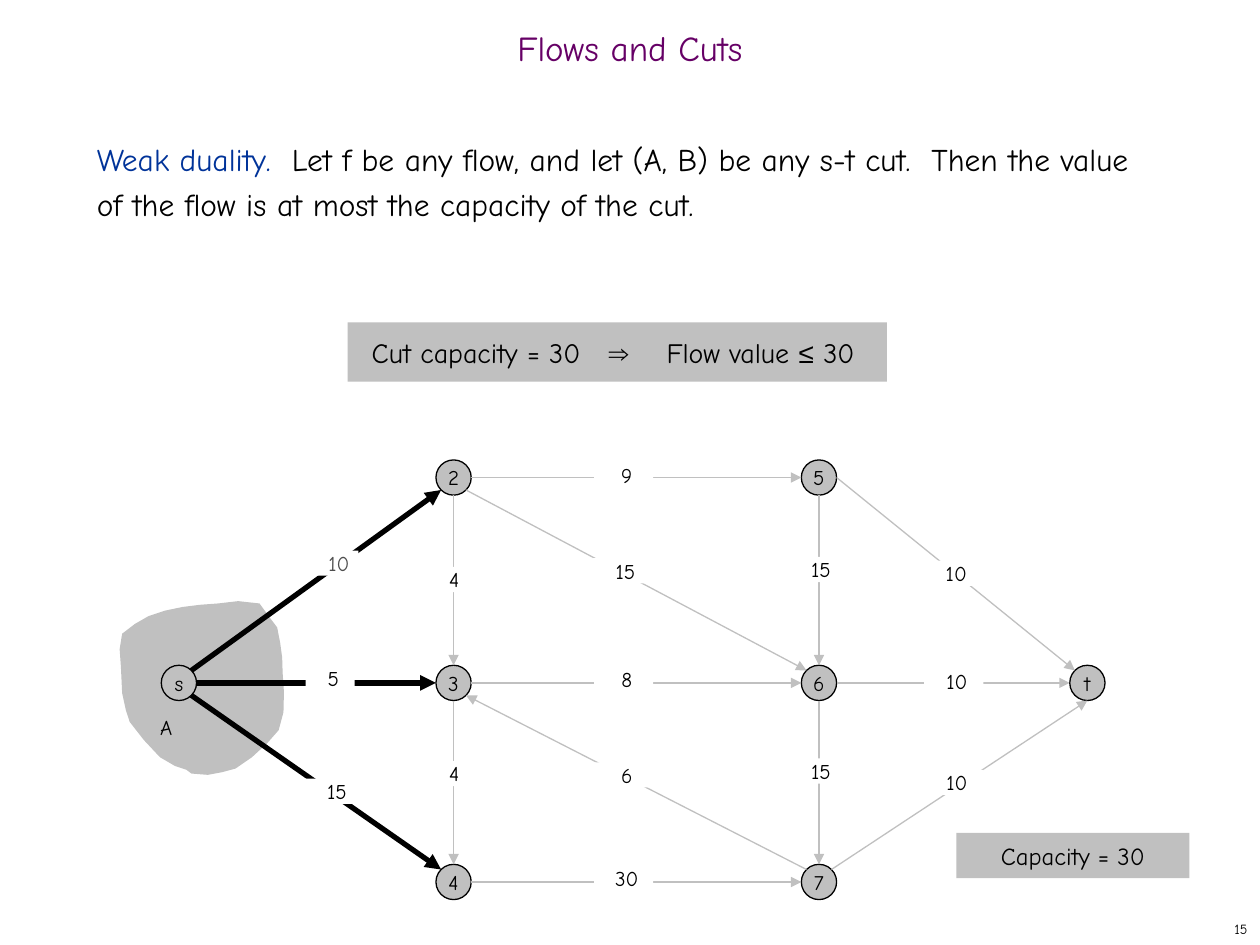
import math
from dataclasses import dataclass

import lxml.etree
import pptx
import pptx.dml.color
import pptx.enum.shapes
import pptx.enum.text
import pptx.oxml.ns
import pptx.util

Inches = pptx.util.Inches
Pt = pptx.util.Pt
Align = pptx.enum.text.PP_ALIGN
Anchor = pptx.enum.text.MSO_ANCHOR
Kind = pptx.enum.shapes.MSO_SHAPE


@dataclass(frozen=True)
class Theme:
    """Colours, fonts, type sizes and line widths."""
    font: str = "Comic Neue"
    symbol_font: str = "Arial"
    ink: str = "000000"
    paper: str = "FFFFFF"
    grey: str = "C0C0C0"
    dim: str = "4D4D4D"
    title: str = "660066"
    term: str = "003399"
    title_size: float = 20
    body_size: float = 18
    claim_size: float = 16
    capacity_size: float = 14
    label_size: float = 12
    number_size: float = 8
    thin: float = 0.74
    thick: float = 3


THEME = Theme()
RADIUS = 0.14

# Node: column centre, row centre, measured from the network box
COLUMNS = (0.49, 2.67, 5.57, 7.7)
ROWS = (0.14, 1.77, 3.35)
NODES = {"s": (0, 1), "2": (1, 0), "3": (1, 1), "4": (1, 2),
         "5": (2, 0), "6": (2, 1), "7": (2, 2), "t": (3, 1)}

# Compass points on a node's rim, in degrees
RIM = {"E": 0, "SE": 45, "S": 90, "SW": 135, "W": 180, "NW": 225, "N": 270, "NE": 315}

# Edge: from node, rim point, to node, rim point, capacity, label centre
EDGES = [
    ("s", "NE", "2", "SW", "10", (1.68, 0.82)),
    ("s", "E", "3", "W", "5", (1.69, 1.73)),
    ("s", "SE", "4", "NW", "15", (1.72, 2.63)),
    ("2", "E", "5", "W", "9", (4.02, 0.12)),
    ("2", "SE", "6", "NW", "15", (4.01, 0.88)),
    ("2", "S", "3", "N", "4", (2.65, 0.95)),
    ("3", "E", "6", "W", "8", (4.02, 1.74)),
    ("3", "S", "4", "N", "4", (2.65, 2.49)),
    ("7", "NW", "3", "SE", "6", (4.02, 2.5)),
    ("4", "E", "7", "W", "30", (4.02, 3.32)),
    ("5", "S", "6", "N", "15", (5.56, 0.87)),
    ("6", "S", "7", "N", "15", (5.56, 2.47)),
    ("5", "E", "t", "NW", "10", (6.58, 0.9)),
    ("6", "E", "t", "W", "10", (6.64, 1.76)),
    ("7", "NE", "t", "S", "10", (6.64, 2.56)),
]

# Cut outline: start, then cubic curves as two handles and an end
CUT_START = (0.04, 0.28)
CUT_CURVES = [
    ((0.1, 0.24), (0.18, 0.16), (0.25, 0.14)), ((0.42, 0.07), (0.62, 0.05), (0.8, 0.04)),
    ((0.91, 0.03), (1.01, 0), (1.13, 0.04)), ((1.17, 0.05), (1.18, 0.11), (1.21, 0.15)),
    ((1.23, 0.18), (1.27, 0.23), (1.27, 0.23)), ((1.3, 0.39), (1.29, 0.31), (1.31, 0.47)),
    ((1.3, 0.64), (1.4, 1.02), (1.19, 1.15)), ((1.15, 1.21), (1.13, 1.22), (1.07, 1.26)),
    ((0.97, 1.32), (1.06, 1.28), (0.94, 1.35)), ((0.88, 1.38), (0.79, 1.38), (0.72, 1.4)),
    ((0.68, 1.4), (0.63, 1.4), (0.59, 1.39)), ((0.57, 1.38), (0.56, 1.37), (0.55, 1.36)),
    ((0.51, 1.34), (0.5, 1.35), (0.46, 1.33)), ((0.33, 1.25), (0.43, 1.29), (0.34, 1.26)),
    ((0.25, 1.17), (0.17, 1.08), (0.1, 0.98)), ((0.09, 0.95), (0.08, 0.92), (0.07, 0.89)),
    ((0.05, 0.85), (0.04, 0.75), (0.04, 0.75)), ((0.04, 0.68), (0.04, 0.61), (0.03, 0.54)),
    ((0.03, 0.46), (0, 0.34), (0.04, 0.28)),
]


def color(value):
    """Turn a hex string into a colour."""
    return pptx.dml.color.RGBColor.from_string(value)


def write_text(shape, runs, size=THEME.label_size, ink=THEME.ink, align=Align.CENTER,
               anchor=Anchor.TOP, insets=(0.1, 0.05, 0.1, 0.05), wrap=True,
               spacing=None, tabs=()):
    """Write one paragraph; runs is a string or (text, format overrides) pairs."""
    frame = shape.text_frame
    frame.word_wrap, frame.vertical_anchor = wrap, anchor
    (frame.margin_left, frame.margin_top,
     frame.margin_right, frame.margin_bottom) = map(Inches, insets)
    para = frame.paragraphs[0]
    para.alignment, para.line_spacing = align, spacing
    if tabs:
        tab_list = lxml.etree.SubElement(para._p.get_or_add_pPr(), pptx.oxml.ns.qn("a:tabLst"))
        for stop in tabs:
            lxml.etree.SubElement(tab_list, pptx.oxml.ns.qn("a:tab"),
                                  pos=str(Inches(stop)), algn="l")
    for text, style in [(runs, {})] if isinstance(runs, str) else runs:
        span = para.add_run()
        span.text = text
        span.font.name = style.get("font", THEME.font)
        span.font.size = Pt(size)
        span.font.color.rgb = color(style.get("ink", ink))


def paint(shape, fill, line=None):
    """Give a shape a flat fill and an optional thin line."""
    shape.shadow.inherit = False
    shape.fill.solid()
    shape.fill.fore_color.rgb = color(fill)
    if line:
        shape.line.color.rgb = color(line)
        shape.line.width = Pt(THEME.thin)
    else:
        shape.line.fill.background()


def add_text(page, box, runs, **style):
    """Place a text box."""
    write_text(page.shapes.add_textbox(*map(Inches, box)), runs, **style)


def add_panel(page, box, runs, kind=Kind.RECTANGLE, fill=THEME.grey, line=None, **style):
    """Place a filled shape with text."""
    panel = page.shapes.add_shape(kind, *map(Inches, box))
    paint(panel, fill, line)
    write_text(panel, runs, **style)


def add_arrow(page, start, end, ink, width):
    """Draw a straight arrow from start to end."""
    arrow = page.shapes.add_connector(pptx.enum.shapes.MSO_CONNECTOR.STRAIGHT,
                                      *map(Inches, (*start, *end)))
    arrow.line.color.rgb = color(ink)
    arrow.line.width = Pt(width)
    lxml.etree.SubElement(arrow.line._get_or_add_ln(),
                          pptx.oxml.ns.qn("a:tailEnd"), type="triangle")
    lxml.etree.SubElement(arrow._element.spPr, pptx.oxml.ns.qn("a:effectLst"))


def add_cut(page, left, top, stride=0.15):
    """Draw the grey region of side A, with about one point per stride."""
    points, start = [], CUT_START
    for curve in CUT_CURVES:
        corners = (start, *curve)
        steps = max(1, round(math.dist(start, curve[-1]) / stride))
        for step in range(1, steps + 1):
            t = step / steps
            weights = [math.comb(3, i) * t ** i * (1 - t) ** (3 - i) for i in range(4)]
            points.append([Inches(origin + sum(w * c[axis] for w, c in zip(weights, corners)))
                           for axis, origin in enumerate((left, top))])
        start = curve[-1]
    outline = page.shapes.build_freeform(*points[-1])
    outline.add_line_segments(points[:-1], close=True)
    paint(outline.convert_to_shape(), THEME.grey)


def add_network(page, left, top):
    """Draw the flow network: cut, nodes, edges and capacities."""
    add_cut(page, left, top + 1.1)
    centres = {name: (left + COLUMNS[column], top + ROWS[row])
               for name, (column, row) in NODES.items()}

    def rim(name, side):
        """Find a point on the rim of a node."""
        x, y = centres[name]
        angle = math.radians(RIM[side])
        return x + RADIUS * math.cos(angle), y + RADIUS * math.sin(angle)

    for name, (x, y) in centres.items():
        add_panel(page, (x - RADIUS, y - RADIUS, 2 * RADIUS, 2 * RADIUS), name,
                  kind=Kind.OVAL, line=THEME.ink, anchor=Anchor.MIDDLE, wrap=False)
    for tail, tail_side, head, head_side, _, _ in EDGES:
        ink, width = (THEME.ink, THEME.thick) if tail == "s" else (THEME.grey, THEME.thin)
        add_arrow(page, rim(tail, tail_side), rim(head, head_side), ink, width)
    for tail, _, head, _, capacity, (x, y) in EDGES:
        width = 0.39 if (tail, head) == ("s", "3") else 0.47
        indent = 0.16 if (tail, head) in (("s", "2"), ("5", "t")) else 0.05
        add_panel(page, (left + x - width / 2, top + y - 0.1, width, 0.2), capacity,
                  fill=THEME.paper, insets=(indent, 0, 0, 0),
                  ink=THEME.dim if (tail, head) == ("s", "2") else THEME.ink)
    add_text(page, (left + 0.34, top + 2.02, 0.1, 0.2), "A", insets=(0, 0, 0, 0), wrap=False)


def add_statement(page, left, top):
    """Place the duality statement and the claim that follows from it."""
    add_text(page, (left, top, 8.58, 5.92),
             [("Weak duality.", {"ink": THEME.term}),
              ("  Let f be any flow, and let (A, B) be any s-t cut.  Then the value of "
               "the flow is at most the capacity of the cut.", {})],
             size=THEME.body_size, align=Align.LEFT, spacing=Pt(26))
    symbol = {"font": THEME.symbol_font}
    add_panel(page, (left + 2.09, top + 1.56, 4.28, 0.47),
              [("Cut capacity = 30\t", {}), ("⇒", symbol), ("\tFlow value ", {}),
               ("≤", symbol), (" 30", {})],
              size=THEME.claim_size, align=Align.LEFT, insets=(0.19, 0.1, 0.1, 0.1),
              wrap=False, tabs=(1.88, 2.34))


def build_slide(deck):
    """Compose the Flows and Cuts slide."""
    page = deck.slides.add_slide(deck.slide_layouts[6])
    add_text(page, (0, 0.17, 10, 0.5), "Flows and Cuts", size=THEME.title_size,
             ink=THEME.title, anchor=Anchor.MIDDLE, spacing=0.7)
    add_statement(page, 0.67, 1)
    add_network(page, 0.93, 3.65)
    add_panel(page, (7.59, 6.61, 1.85, 0.36), "Capacity = 30", size=THEME.capacity_size,
              anchor=Anchor.MIDDLE, insets=(0.1, 0.1, 0.1, 0.1))
    add_text(page, (7.92, 7.25, 2.08, 0.25), "15", size=THEME.number_size,
             align=Align.RIGHT, anchor=Anchor.MIDDLE)


deck = pptx.Presentation()
deck.slide_width, deck.slide_height = Inches(10), Inches(7.5)
build_slide(deck)
deck.save("out.pptx")
